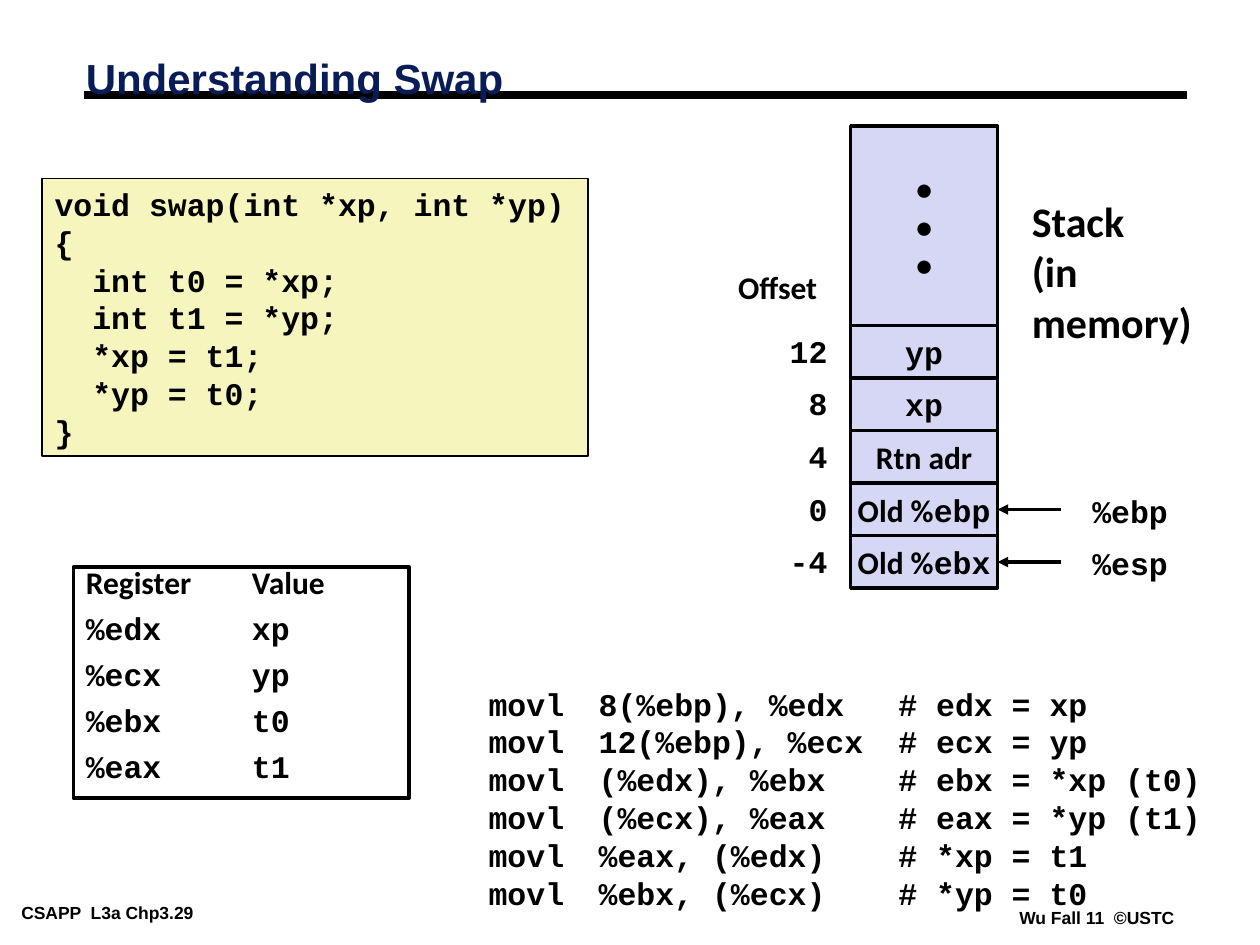
from dataclasses import dataclass
from lxml.etree import SubElement
from pptx import Presentation
from pptx.dml.color import RGBColor
from pptx.enum.shapes import MSO_CONNECTOR, MSO_SHAPE
from pptx.enum.text import MSO_ANCHOR, PP_ALIGN
from pptx.oxml.ns import qn
from pptx.util import Cm, Pt


@dataclass(frozen=True)
class Theme:
    """Colours, fonts and type sizes of the slide."""
    ink: str = "000000"
    title: str = "081D58"
    code_fill: str = "F6F5BD"
    stack_fill: str = "D6D6F5"
    head: str = "Arial"
    body: str = "Calibri"
    mono: str = "Courier New"
    large: int = 24
    normal: int = 18
    small: int = 10


T = Theme()

CODE = """void swap(int *xp, int *yp)
{
  int t0 = *xp;
  int t1 = *yp;
  *xp = t1;
  *yp = t0;
}"""

ASSEMBLY = [
    ("8(%ebp), %edx", "# edx = xp"),
    ("12(%ebp), %ecx", "# ecx = yp"),
    ("(%edx), %ebx", "# ebx = *xp (t0)"),
    ("(%ecx), %eax", "# eax = *yp (t1)"),
    ("%eax, (%edx)", "# *xp = t1"),
    ("%ebx, (%ecx)", "# *yp = t0"),
]

REGISTERS = [("%edx", "xp"), ("%ecx", "yp"), ("%ebx", "t0"), ("%eax", "t1")]

STACK = [
    ("12", [("yp", T.mono)], None),
    ("8", [("xp", T.mono)], None),
    ("4", [("Rtn adr", T.body)], None),
    ("0", [("Old %", T.body), ("ebp", T.mono)], "%ebp"),
    ("-4", [("Old %", T.body), ("ebx", T.mono)], "%esp"),
]


def write(sp, lines, size=T.normal, color=T.ink, align=PP_ALIGN.LEFT, anchor=MSO_ANCHOR.TOP,
          inset=(0.25, 0.13), wrap=False, tabs=(), spacing=None, before=0):
    """Fill a shape with bold paragraphs, each a list of (text, font) runs."""
    tf = sp.text_frame
    tf.word_wrap = wrap
    tf.vertical_anchor = anchor
    tf.margin_left = tf.margin_right = Cm(inset[0])
    tf.margin_top = tf.margin_bottom = Cm(inset[1])
    for i, runs in enumerate(lines):
        p = tf.add_paragraph() if i else tf.paragraphs[0]
        if tabs:
            tab_list = SubElement(p._p.get_or_add_pPr(), qn("a:tabLst"))
            for pos in tabs:
                SubElement(tab_list, qn("a:tab"), pos=str(Cm(pos)), algn="l")
        p.alignment = align
        if spacing:
            p.line_spacing = spacing
        if i and before:
            p.space_before = Pt(before)
        for text, font in runs:
            r = p.add_run()
            r.text = text
            r.font.name, r.font.size, r.font.bold = font, Pt(size), True
            r.font.color.rgb = RGBColor.from_string(color)


def add_text(s, x, y, w, h, lines, **style):
    """Add a text box."""
    sp = s.shapes.add_textbox(Cm(x), Cm(y), Cm(w), Cm(h))
    write(sp, lines, **style)


def add_box(s, x, y, w, h, lines, fill=None, width=2, **style):
    """Add an outlined rectangle with text."""
    sp = s.shapes.add_shape(MSO_SHAPE.RECTANGLE, Cm(x), Cm(y), Cm(w), Cm(h))
    sp.shadow.inherit = False
    if fill:
        sp.fill.solid()
        sp.fill.fore_color.rgb = RGBColor.from_string(fill)
    else:
        sp.fill.background()
    sp.line.color.rgb = RGBColor.from_string(T.ink)
    sp.line.width = Pt(width)
    write(sp, lines, **style)


def add_line(s, x1, y1, x2, y2, width, arrow=False):
    """Add a straight line, with an arrowhead at its end if asked."""
    c = s.shapes.add_connector(MSO_CONNECTOR.STRAIGHT, Cm(x1), Cm(y1), Cm(x2), Cm(y2))
    c.line.color.rgb = RGBColor.from_string(T.ink)
    c.line.width = Pt(width)
    if arrow:
        SubElement(c.line._get_or_add_ln(), qn("a:tailEnd"), type="triangle")
    SubElement(c._element.spPr, qn("a:effectLst"))


def add_header(s, x, y, w, h):
    """Place the rule and the title over it."""
    add_line(s, x + 0.22, y + 1.07, x + w, y + 1.07, 4.5)
    add_text(s, x, y, 17.7, h, [[("Understanding Swap", T.head)]], size=T.large,
             color=T.title, anchor=MSO_ANCHOR.MIDDLE, wrap=True, spacing=0.87)


def add_footer(s, x, y, w, h):
    """Place the course mark at the left and the copyright line at the right."""
    style = dict(size=T.small, inset=(0.18, 0.08))
    add_text(s, x, y, 5.13, h, [[("CSAPP  L3a Chp3.29", T.head)]], **style)
    add_text(s, x + w - 3.5, y + 0.1, 3.5, h, [[("Wu Fall 11  ©USTC", T.head)]], **style)


def add_code(s, x, y, w, h):
    """Place the C function in its panel."""
    add_box(s, x, y, w, h, [[(line, T.mono)] for line in CODE.splitlines()],
            fill=T.code_fill, width=1, wrap=True)


def add_registers(s, x, y, w, h):
    """Place the list of registers and their values."""
    lines = [[("Register\tValue", T.body)]]
    lines += [[("\t".join(row), T.mono)] for row in REGISTERS]
    add_box(s, x, y, w, h, lines, wrap=True, tabs=(3.35,), spacing=0.7, before=11.2)


def add_stack(s, x, y, w, h):
    """Place the stack with offsets at its left and pointers at its right."""
    row_h, top_h = 1.06, h - 1.06 * len(STACK)
    cell = dict(fill=T.stack_fill, align=PP_ALIGN.CENTER, anchor=MSO_ANCHOR.MIDDLE)
    add_box(s, x, y, w, top_h, [[("•", T.body)]] * 3, **cell)
    add_text(s, x - 2.52, y + 2.74, 2.1, 1.02, [[("Offset", T.body)]])
    add_text(s, x + w + 0.44, y + 1.27, 4.3, 3.2,
             [[("Stack", T.body)], [("(in memory)", T.body)]], size=T.large, wrap=True)
    for i, (offset, runs, pointer) in enumerate(STACK):
        row_y = y + top_h + i * row_h
        add_box(s, x, row_y, w, row_h, [runs], **cell)
        add_text(s, x - 1.87, row_y, 1.65, 1.02, [[(offset, T.mono)]],
                 align=PP_ALIGN.RIGHT, wrap=True)
        if pointer:
            mid = row_y + row_h / 2
            add_line(s, x + w + 1.27, mid, x + w, mid, 2, arrow=True)
            add_text(s, x + w + 1.66, row_y + 0.04, 2.03, 1.02, [[(pointer, T.mono)]])


def add_assembly(s, x, y, w, h):
    """Place the assembly listing in three tabbed columns."""
    lines = [[("\t".join(("movl",) + row), T.mono)] for row in ASSEMBLY]
    add_text(s, x, y, w, h, lines, wrap=True, tabs=(2.22, 8.26))


def main():
    """Build the slide and save it."""
    prs = Presentation()
    prs.slide_width, prs.slide_height = Cm(25.4), Cm(19.05)
    s = prs.slides.add_slide(prs.slide_layouts[6])
    add_header(s, 1.48, 0.84, 22.44, 1.6)
    add_footer(s, 0.25, 18.11, 23.62, 0.56)
    add_code(s, 0.85, 3.6, 11, 5.59)
    add_registers(s, 1.48, 11.43, 6.77, 4.66)
    add_stack(s, 17.15, 2.54, 2.96, 9.32)
    add_assembly(s, 9.6, 13.67, 15.4, 4.83)
    prs.save("out.pptx")


if __name__ == "__main__":
    main()
